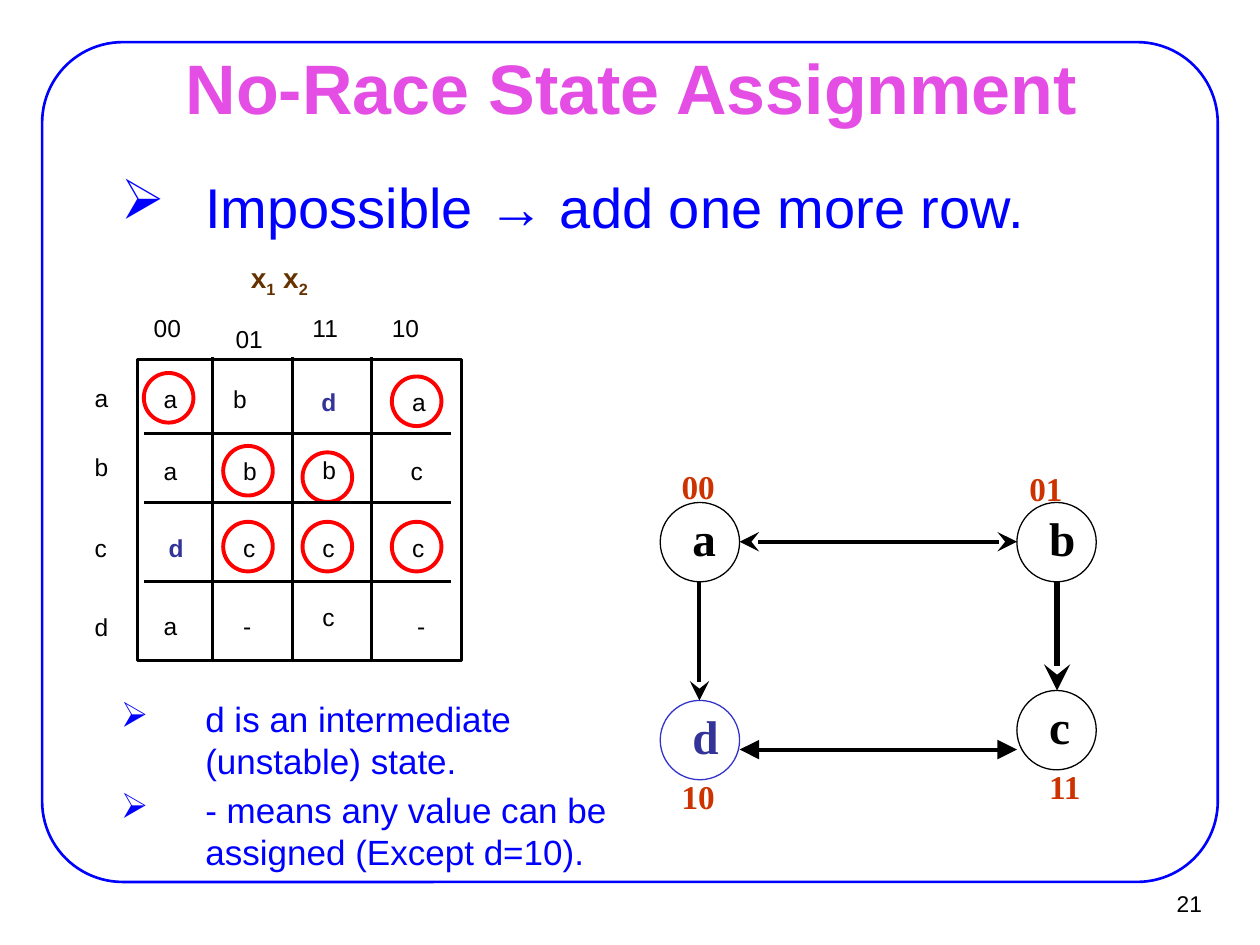
"""Build the no-race state assignment slide with its flow table and state diagram."""
from lxml import etree
from pptx import Presentation
from pptx.dml.color import RGBColor
from pptx.enum.shapes import MSO_CONNECTOR, MSO_SHAPE
from pptx.enum.text import MSO_ANCHOR as ANCHOR, PP_ALIGN as ALIGN
from pptx.oxml.ns import qn
from pptx.util import Cm, Pt

BLACK = RGBColor(0, 0, 0)
WHITE = RGBColor(255, 255, 255)
BLUE = RGBColor(0, 0, 255)
RED = RGBColor(255, 0, 0)
PINK = RGBColor(0xE4, 0x4E, 0xE4)
BROWN = RGBColor(0x66, 0x33, 0x00)
RUST = RGBColor(0xCC, 0x33, 0x00)
INDIGO = RGBColor(0x33, 0x33, 0x99)
VIOLET = RGBColor(0x33, 0x33, 0xCC)
SERIF = "Times New Roman"

prs = Presentation()
prs.slide_width, prs.slide_height = Cm(25.4), Cm(19.05)
shapes = prs.slides.add_slide(prs.slide_layouts[6]).shapes


def add_text(x, y, w, h, paragraphs, size=14, color=BLACK, bold=False, font="Arial",
             align=ALIGN.LEFT, anchor=ANCHOR.TOP, inset=(0, 0), bullet=None):
    tf = shapes.add_textbox(Cm(x), Cm(y), Cm(w), Cm(h)).text_frame
    dx, dy = (Cm(v) for v in inset)
    frame = {"word_wrap": True, "vertical_anchor": anchor, "margin_left": dx,
             "margin_right": dx, "margin_top": dy, "margin_bottom": dy}
    for name, value in frame.items():
        setattr(tf, name, value)
    for i, runs in enumerate(paragraphs):
        p = tf.add_paragraph() if i else tf.paragraphs[0]
        p.alignment = align
        if bullet:
            if i:
                p.space_before = Pt(size * 0.2)
            pPr = p._p.get_or_add_pPr()
            pPr.set("marL", str(Cm(2.97)))
            pPr.set("indent", str(Cm(-1.7)))
            etree.SubElement(pPr, qn("a:buChar")).set("char", bullet)
        for content, baseline in runs:
            r = p.add_run()
            r.text = content
            for name, value in {"size": Pt(size), "bold": bold, "name": font}.items():
                setattr(r.font, name, value)
            r.font.color.rgb = color
            if baseline:
                r.font._element.set("baseline", str(baseline))


def add_outline(kind, x, y, w, h, color, width, fill=None):
    sp = shapes.add_shape(kind, Cm(x), Cm(y), Cm(w), Cm(h))
    sp.shadow.inherit = False
    if fill is None:
        sp.fill.background()
    else:
        sp.fill.solid()
        sp.fill.fore_color.rgb = fill
    sp.line.color.rgb = color
    sp.line.width = Pt(width)
    return sp


border = add_outline(MSO_SHAPE.ROUNDED_RECTANGLE, 0.85, 0.85, 23.7, 16.93, BLUE, 1.5)
border.adjustments[0] = 0.096
add_text(22.91, 17.75, 1.55, 0.94, [[("21", 0)]], size=13, align=ALIGN.RIGHT,
         anchor=ANCHOR.MIDDLE, inset=(0.23, 0.1))
add_text(1.93, 1.12, 21.59, 1.24, [[("No-Race State Assignment", 0)]], size=40, color=PINK,
         bold=True, align=ALIGN.CENTER, anchor=ANCHOR.MIDDLE, inset=(0.28, 0.15))
add_text(0.89, 3.33, 22.6, 4.6, [[("Impossible → add one more row.", 0)]], size=32,
         color=BLUE, inset=(0.28, 0.15), bullet="➢")
add_text(0.89, 13.92, 11.81, 4.6,
         [[("d is an intermediate (unstable) state.", 0)],
          [("- means any value can be assigned (Except d=10).", 0)]],
         size=20, color=BLUE, inset=(0.28, 0.15), bullet="➢")

add_outline(MSO_SHAPE.RECTANGLE, 2.77, 7.24, 6.53, 6.07, BLACK, 1.75)
add_text(4.81, 5.13, 2.06, 0.94,
         [[("x", 0), ("1", -25000), (" x", 0), ("2", -25000)]],
         size=16, color=BROWN, bold=True, inset=(0.25, 0.13))

labels = [
    ("00", 3.1, 6.32), ("01", 4.75, 6.53), ("11", 6.3, 6.32), ("10", 7.9, 6.32),
    ("a", 1.91, 7.72), ("b", 1.91, 9.12), ("c", 1.91, 10.74), ("d", 1.91, 12.34),
]
cells = [
    ("a", 3.3, 7.75), ("b", 4.7, 7.75), ("d", 6.48, 7.8), ("a", 8.31, 7.8),
    ("a", 3.3, 9.19), ("b", 4.9, 9.19), ("b", 6.5, 9.17), ("c", 8.28, 9.19),
    ("d", 3.4, 10.74), ("c", 4.9, 10.74), ("c", 6.5, 10.74), ("c", 8.31, 10.74),
    ("a", 3.3, 12.32), ("-", 4.9, 12.32), ("c", 6.5, 12.14), ("-", 8.41, 12.32),
]
for content, x, y in labels:
    add_text(x, y, 0.7, 0.58, [[(content, 0)]])
for content, x, y in cells:
    unstable = content == "d"
    add_text(x, y, 0.7, 0.58, [[(content, 0)]], color=INDIGO if unstable else BLACK,
             bold=unstable)

stable = [(2.9, 7.52), (7.9, 7.59), (4.5, 8.99), (6.1, 9.12),
          (4.5, 10.52), (6.1, 10.52), (7.9, 10.52)]
for x, y in stable:
    add_outline(MSO_SHAPE.OVAL, x, y, 1, 1, RED, 2.25)

states = [
    ("a", 13.31, 10.13, "00", 13.49, 9.27, BLACK, BLACK),
    ("b", 20.5, 10.13, "01", 20.5, 9.32, BLACK, BLACK),
    ("c", 20.5, 13.92, "11", 20.9, 15.32, BLACK, BLACK),
    ("d", 13.31, 14.12, "10", 13.49, 15.52, VIOLET, INDIGO),
]
for state, x, y, code, code_x, code_y, ring, ink in states:
    add_outline(MSO_SHAPE.OVAL, x, y, 1.6, 1.6, ring, 0.75, WHITE)
    add_text(x + 0.4, y, 1.4, 1.4, [[(state, 0)]], size=27, color=ink, bold=True,
             font=SERIF, inset=(0.25, 0.13))
    add_text(code_x, code_y, 2, 1.07, [[(code, 0)]], size=19, color=RUST, bold=True,
             font=SERIF, inset=(0.25, 0.13))

lines = [(9.09, y, 2.9, y, 1.75, None, None) for y in (8.74, 10.13, 11.73)]
lines += [(4.29 + 1.6 * i, 13.34, 4.29 + 1.6 * i, 7.19, 1.75, None, None) for i in range(3)]
lines += [
    (14.91, 10.92, 20.5, 10.92, 2.25, "stealth", "stealth"),
    (21.31, 11.73, 21.31, 13.92, 3, None, "stealth"),
    (14.1, 11.73, 14.1, 14.12, 2.25, None, "stealth"),
    (20.5, 15.11, 14.91, 15.11, 2.25, "triangle", "triangle"),
]
for x1, y1, x2, y2, width, head, tail in lines:
    cxn = shapes.add_connector(MSO_CONNECTOR.STRAIGHT, Cm(x1), Cm(y1), Cm(x2), Cm(y2))
    cxn.line.color.rgb = BLACK
    cxn.line.width = Pt(width)
    ln = cxn.line._get_or_add_ln()
    for tag, kind in (("a:headEnd", head), ("a:tailEnd", tail)):
        if kind:
            end = etree.SubElement(ln, qn(tag))
            for name, value in {"type": kind, "w": "lg", "len": "lg"}.items():
                end.set(name, value)
    etree.SubElement(cxn._element.spPr, qn("a:effectLst"))

prs.save("out.pptx")
